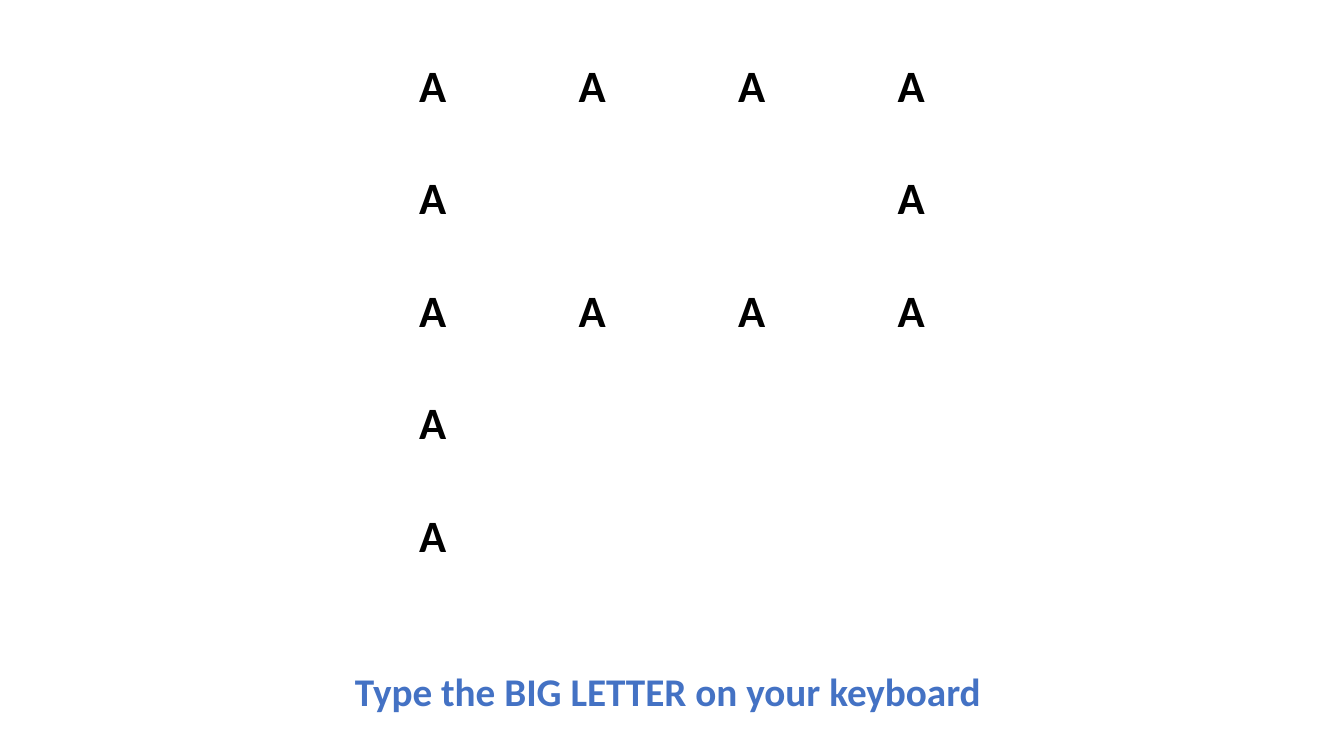
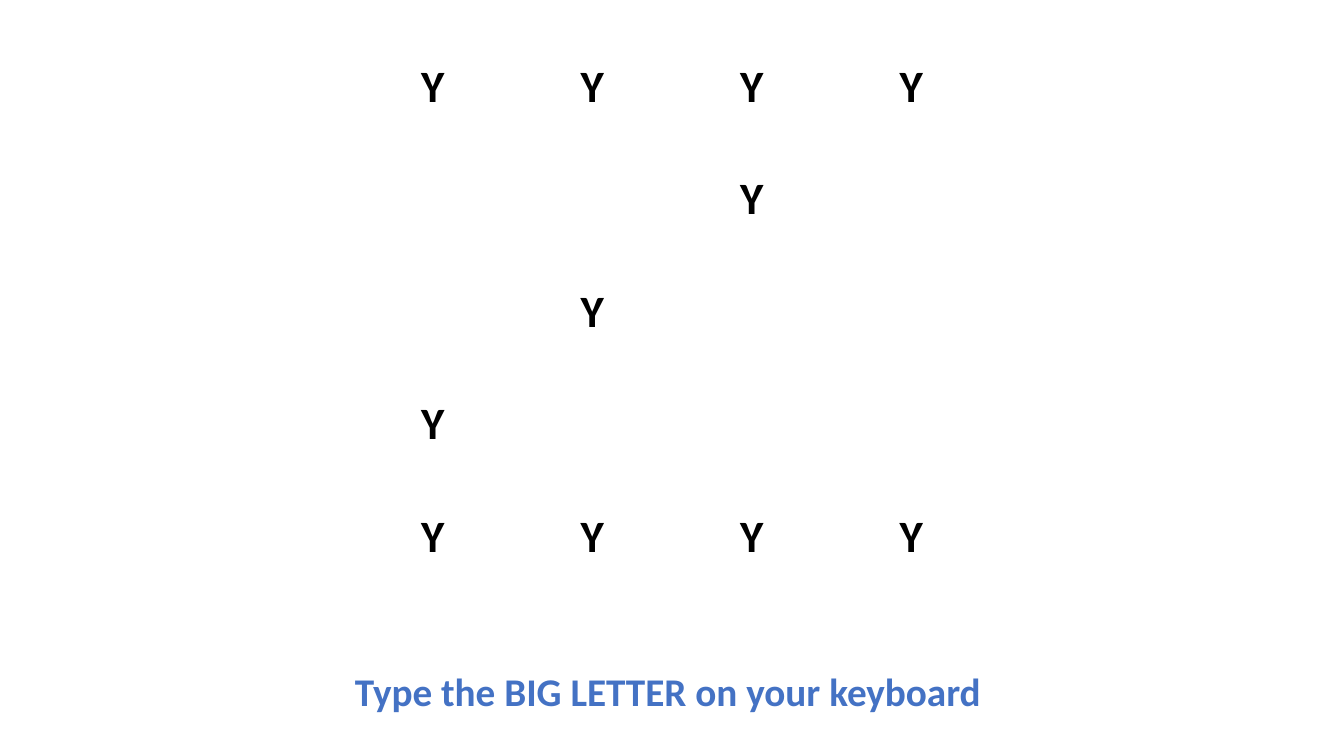
"""Build two slides where a grid of small letters forms a big letter."""
from pptx import Presentation
from pptx import util as u
from pptx.dml.color import RGBColor
from pptx.enum import text

SLIDES = [
    ("A", ["####", "#..#", "####", "#...", "#..."]),
    ("Y", ["####", "..#.", ".#..", "#...", "####"]),
]
PROMPT = "Type the BIG LETTER on your keyboard"

COLORS = {"letter": "000000", "prompt": "4472C4"}
SIZE = (1344, 756)
GRID_BOX = (353, 56, 638, 562)
PROMPT_BOX = (345, 662, 653, 57)
LETTER_FONT = {"name": "Calibri", "size": u.Pt(32), "bold": True}
PROMPT_FONT = {"name": "Calibri", "size": u.Pt(28), "bold": True}
LETTER_PARAGRAPH = {"alignment": text.PP_ALIGN.CENTER, "line_spacing": 1.07}
CELL_MARGINS = {"margin_left": u.Inches(0.07), "margin_right": u.Inches(0.07),
                "margin_top": 0, "margin_bottom": 0}
PLAIN_TABLE = {"first_row": False, "horz_banding": False}
PROMPT_FRAME = {"word_wrap": False,
                "auto_size": text.MSO_AUTO_SIZE.SHAPE_TO_FIT_TEXT}


def px(*lengths):
    return [u.Emu(round(n * 914400 / 100.8)) for n in lengths]


def set_all(obj, values):
    for name, value in values.items():
        setattr(obj, name, value)


def write(p, words, font, color):
    r = p.add_run()
    r.text = words
    set_all(r.font, font)
    r.font.color.rgb = RGBColor.from_string(COLORS[color])


def add_letter_grid(s, letter, pattern):
    box = px(*GRID_BOX)
    table = s.shapes.add_table(len(pattern), len(pattern[0]), *box).table
    set_all(table, PLAIN_TABLE)
    for row, marks in enumerate(pattern):
        for col, mark in enumerate(marks):
            cell = table.cell(row, col)
            set_all(cell, CELL_MARGINS)
            cell.fill.background()
            if mark == "#":
                p = cell.text_frame.paragraphs[0]
                set_all(p, LETTER_PARAGRAPH)
                write(p, letter, LETTER_FONT, "letter")


def add_prompt(s):
    tf = s.shapes.add_textbox(*px(*PROMPT_BOX)).text_frame
    set_all(tf, PROMPT_FRAME)
    write(tf.paragraphs[0], PROMPT, PROMPT_FONT, "prompt")


def main():
    prs = Presentation()
    prs.slide_width, prs.slide_height = px(*SIZE)
    for letter, pattern in SLIDES:
        s = prs.slides.add_slide(prs.slide_layouts[6])
        add_letter_grid(s, letter, pattern)
        add_prompt(s)
    prs.save("out.pptx")


if __name__ == "__main__":
    main()
